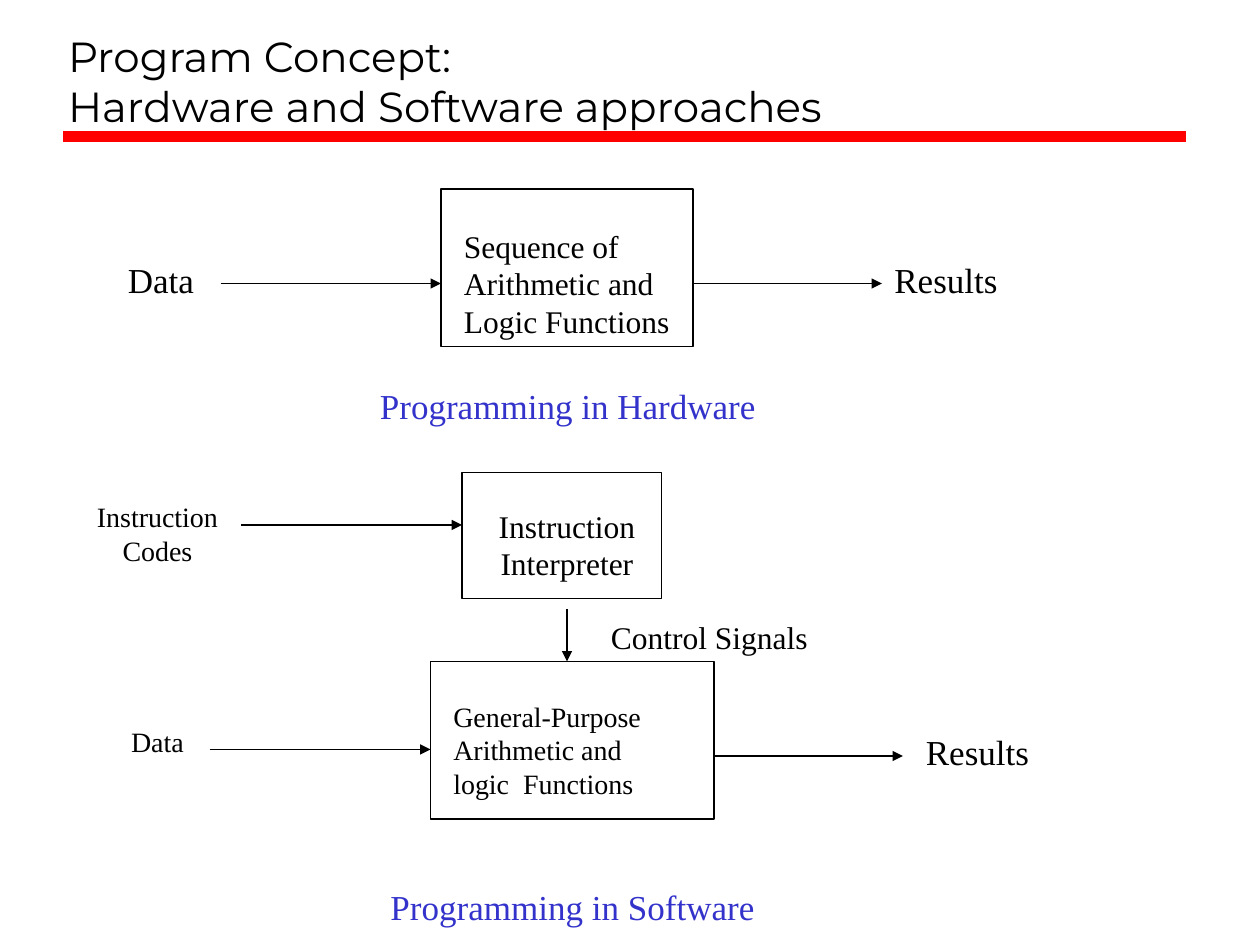
"""Build a slide comparing the hardware and software approaches to programming."""
from lxml import etree
from pptx import Presentation
from pptx import util as u
from pptx.dml import color
from pptx.enum import shapes, text
from pptx.oxml import ns

Pt = u.Pt
LEFT, CENTER = text.PP_ALIGN.LEFT, text.PP_ALIGN.CENTER
BLACK, BLUE, RED = "000000", "3333CC", "FF0000"


def rgb(value):
    return color.RGBColor.from_string(value)


def add_line(parent, start, end, line_color, width, arrow=True):
    connector = parent.shapes.add_connector(
        shapes.MSO_CONNECTOR.STRAIGHT, *map(Pt, start + end))
    connector.line.color.rgb = rgb(line_color)
    connector.line.width = Pt(width)
    if arrow:
        outline = connector.line._get_or_add_ln()
        etree.SubElement(outline, ns.qn("a:tailEnd"), type="triangle")
    etree.SubElement(connector._element.spPr, ns.qn("a:effectLst"))


presentation = Presentation()
presentation.slide_width, presentation.slide_height = Pt(720), Pt(540)
slide = presentation.slides.add_slide(presentation.slide_layouts[5])

title = slide.shapes.title
title.left, title.top, title.width, title.height = map(Pt, (31.7, 12.2, 646, 66.2))
title.text_frame.text = "Program Concept: \vHardware and Software approaches"
title.text_frame.vertical_anchor = text.MSO_ANCHOR.BOTTOM
title.text_frame.auto_size = text.MSO_AUTO_SIZE.NONE
paragraph = title.text_frame.paragraphs[0]
paragraph.alignment = LEFT
for run in paragraph.runs:
    run.font.name = "Montserrat"
    run.font.size = Pt(24)
    run.font.color.rgb = rgb(BLACK)

add_line(slide, (36, 78), (678, 78), RED, 6, arrow=False)

hardware = slide.shapes.add_group_shape()
software = slide.shapes.add_group_shape()

boxes = [
    (hardware, 252, 108, 144, 90),
    (software, 246, 378, 162, 90),
    (software, 264, 270, 114, 72),
]
for parent, *place in boxes:
    box = parent.shapes.add_shape(shapes.MSO_SHAPE.RECTANGLE, *map(Pt, place))
    box.shadow.inherit = False
    box.fill.background()
    box.line.color.rgb = rgb(BLACK)
    box.line.width = Pt(0.75)

arrows = [
    (hardware, (126, 162), (252, 162)),
    (hardware, (396, 162), (504, 162)),
    (software, (138, 300), (264, 300)),
    (software, (324, 348), (324, 378)),
    (software, (120, 428.25), (246, 428.25)),
    (software, (408, 432), (516, 432)),
]
for parent, start, end in arrows:
    add_line(parent, start, end, BLACK, 0.75)

labels = [
    (hardware, "Sequence of Arithmetic and Logic Functions", 258, 126, 132, 72, 18, LEFT, BLACK),
    (hardware, "Data", 66, 144, 84, 31.5, 20, LEFT, BLACK),
    (hardware, "Results", 504, 144, 114, 31.5, 20, LEFT, BLACK),
    (slide, "Programming in Hardware", 210, 216, 234, 31.5, 20, LEFT, BLUE),
    (software, "Instruction Codes", 48, 282, 84, 46, 16, CENTER, BLACK),
    (software, "Instruction Interpreter", 264, 286, 120, 50.5, 18, CENTER, BLACK),
    (software, "Control Signals", 342, 349.5, 204, 29, 18, LEFT, BLACK),
    (software, "General-Purpose Arithmetic and logic  Functions", 252, 396, 144, 65, 16, LEFT, BLACK),
    (software, "Data", 48, 410.25, 84, 26.5, 16, CENTER, BLACK),
    (software, "Results", 522, 414, 114, 31.5, 20, LEFT, BLACK),
    (slide, "Programming in Software", 216, 502.5, 234, 31.5, 20, LEFT, BLUE),
]
for parent, wording, left, top, width, height, size, alignment, font_color in labels:
    label = parent.shapes.add_textbox(Pt(left), Pt(top), Pt(width), Pt(height))
    label.text_frame.word_wrap = True
    label.text_frame.auto_size = text.MSO_AUTO_SIZE.SHAPE_TO_FIT_TEXT
    label.text_frame.text = wording
    paragraph = label.text_frame.paragraphs[0]
    paragraph.alignment = alignment
    paragraph.space_before = Pt(size * 0.625)
    font = paragraph.runs[0].font
    font.name = "Times New Roman"
    font.size = Pt(size)
    font.color.rgb = rgb(font_color)

presentation.save("out.pptx")
